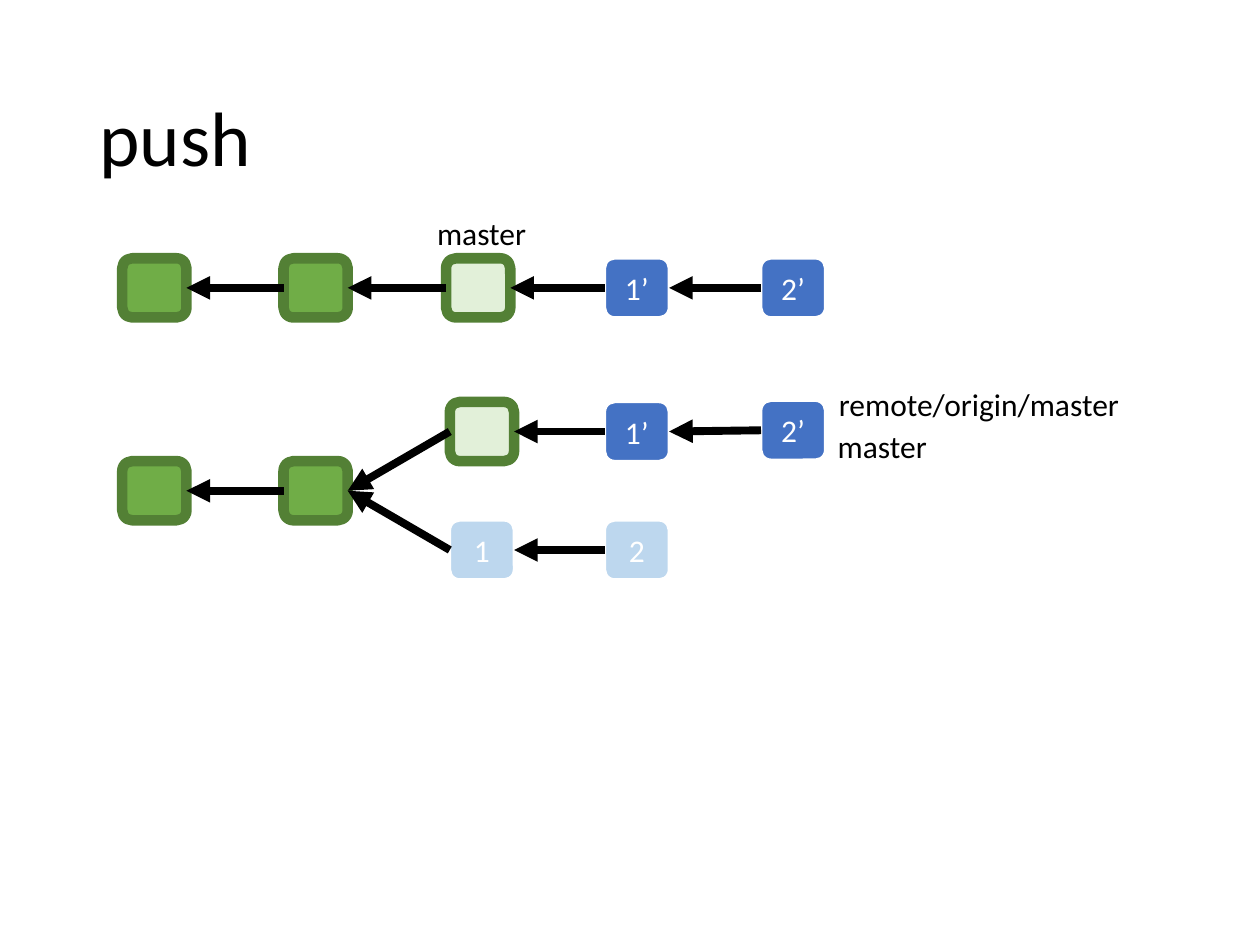
from lxml.etree import SubElement
from pptx import Presentation
from pptx.dml.color import RGBColor
from pptx.enum.shapes import MSO_CONNECTOR, MSO_SHAPE
from pptx.enum.text import MSO_ANCHOR, PP_ALIGN
from pptx.oxml.ns import qn
from pptx.util import Inches, Pt

FONT = "Calibri"
COLORS = {
    "black": "000000", "white": "FFFFFF", "green": "70AD47",
    "dark_green": "538035", "pale_green": "E2F0D9",
    "blue": "4472C4", "pale_blue": "BDD7EE",
}
# kind of commit: fill, outline, outline width in points
KINDS = {
    "shared": ("green", "dark_green", 6),
    "upstream": ("pale_green", "dark_green", 6),
    "rebased": ("blue", "white", 1.5),
    "abandoned": ("pale_blue", "white", 1.5),
}
COMMIT_W, COMMIT_H = 0.51, 0.47
LEFT_SITE, RIGHT_SITE = 1, 3


def color(key):
    return RGBColor.from_string(COLORS[key])


def write(frame, text, size, color_key):
    frame.text = text
    font = frame.paragraphs[0].runs[0].font
    font.name, font.size = FONT, Pt(size)
    font.color.rgb = color(color_key)


def add_title(slide, left, top, width, height):
    frame = slide.shapes.add_textbox(
        Inches(left), Inches(top), Inches(width), Inches(height)).text_frame
    frame.word_wrap = True
    frame.vertical_anchor = MSO_ANCHOR.MIDDLE
    write(frame, "push", 44, "black")
    frame.paragraphs[0].line_spacing = 0.9


def add_commit(slide, left, top, kind, text):
    fill, outline, width = KINDS[kind]
    commit = slide.shapes.add_shape(
        MSO_SHAPE.ROUNDED_RECTANGLE, Inches(left), Inches(top),
        Inches(COMMIT_W), Inches(COMMIT_H))
    commit.shadow.inherit = False
    commit.fill.solid()
    commit.fill.fore_color.rgb = color(fill)
    commit.line.color.rgb = color(outline)
    commit.line.width = Pt(width)
    if text:
        frame = commit.text_frame
        frame.vertical_anchor = MSO_ANCHOR.MIDDLE
        write(frame, text, 18, "white")
        frame.paragraphs[0].alignment = PP_ALIGN.CENTER
    return commit


def add_parent_arrow(slide, child, parent):
    arrow = slide.shapes.add_connector(MSO_CONNECTOR.STRAIGHT, 0, 0, 0, 0)
    arrow.begin_connect(child, LEFT_SITE)
    arrow.end_connect(parent, RIGHT_SITE)
    arrow.line.color.rgb = color("black")
    arrow.line.width = Pt(4.5)
    SubElement(arrow.line._get_or_add_ln(), qn("a:tailEnd"), type="triangle")
    SubElement(arrow._element.spPr, qn("a:effectLst"))


def add_branch_label(slide, left, top, width, text):
    label = slide.shapes.add_textbox(
        Inches(left), Inches(top), Inches(width), Inches(0.4))
    label.text_frame.word_wrap = False
    write(label.text_frame, text, 18, "black")


def add_history(slide, left, top, commits, labels):
    """Commits: name -> (x, y, kind, text, parent); labels: (x, y, width, text)."""
    boxes = {name: add_commit(slide, left + x, top + y, kind, text)
             for name, (x, y, kind, text, _) in commits.items()}
    for name, (*_, parent) in commits.items():
        if parent:
            add_parent_arrow(slide, boxes[name], boxes[parent])
    for x, y, width, text in labels:
        add_branch_label(slide, left + x, top + y, width, text)


def main():
    prs = Presentation()
    prs.slide_width, prs.slide_height = Inches(10), Inches(7.5)
    slide = prs.slides.add_slide(prs.slide_layouts[6])
    add_title(slide, 0.69, 0.4, 8.62, 1.45)

    add_history(slide, 0.97, 2.05, {
        "first": (0, 0, "shared", "", None),
        "second": (1.28, 0, "shared", "", "first"),
        "third": (2.57, 0, "upstream", "", "second"),
        "rebased 1": (3.83, 0, "rebased", "1’", "third"),
        "rebased 2": (5.07, 0, "rebased", "2’", "rebased 1"),
    }, [(2.4, -0.4, 0.92, "master")])

    add_history(slide, 0.97, 3.19, {
        "first": (0, 0.47, "shared", "", None),
        "second": (1.28, 0.47, "shared", "", "first"),
        "third": (2.6, 0, "upstream", "", "second"),
        "rebased 1": (3.83, 0, "rebased", "1’", "third"),
        "rebased 2": (5.07, -0.01, "rebased", "2’", "rebased 1"),
        "old 1": (2.6, 0.94, "abandoned", "1", "second"),
        "old 2": (3.83, 0.94, "abandoned", "2", "old 1"),
    }, [(5.59, -0.18, 2.45, "remote/origin/master"),
        (5.58, 0.15, 0.92, "master")])

    prs.save("out.pptx")


if __name__ == "__main__":
    main()
